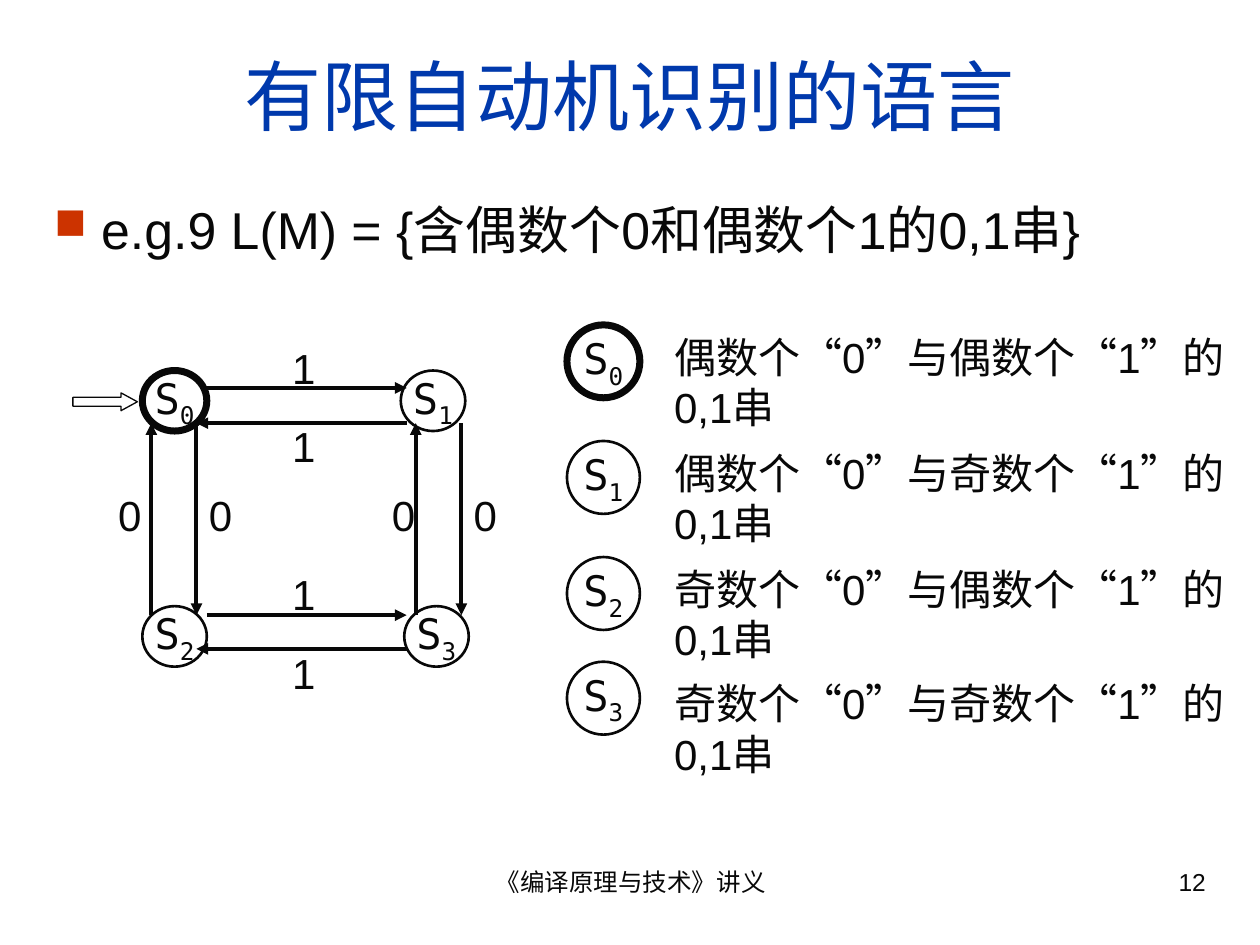
from lxml.etree import SubElement
from pptx import Presentation
from pptx.dml.color import RGBColor
from pptx.enum.shapes import MSO_CONNECTOR, MSO_SHAPE
from pptx.enum.text import MSO_ANCHOR, PP_ALIGN
from pptx.oxml.ns import qn
from pptx.util import Cm, Pt

COLORS = {"ink": "080808", "title": "0039AC", "bullet": "CC3300"}
FORMATS = {
    "title": {"size": Pt(44), "name": "Arial"},
    "body": {"size": Pt(29.6), "name": "Arial"},
    "label": {"size": Pt(24), "name": "Arial"},
    "state": {"size": Pt(24), "name": "DejaVu Sans Mono"},
    "footer": {"size": Pt(14), "name": "Arial"},
}

presentation = Presentation()
presentation.slide_width = Cm(25.4)
presentation.slide_height = Cm(19.05)
slide = presentation.slides.add_slide(presentation.slide_layouts[6])
shapes = slide.shapes


def write(frame, text, style, align=PP_ALIGN.LEFT, subscript=""):
    paragraph = frame.paragraphs[0]
    paragraph.alignment = align
    for part in filter(None, (text, subscript)):
        run = paragraph.add_run()
        run.text = part
        for attribute, value in FORMATS[style].items():
            setattr(run.font, attribute, value)
        ink = COLORS["title" if style == "title" else "ink"]
        run.font.color.rgb = RGBColor.from_string(ink)
    if subscript:
        run.font._element.set("baseline", "-25000")
    return paragraph


def outline(kind, box, weight):
    figure = shapes.add_shape(kind, *map(Cm, box))
    figure.shadow.inherit = False
    figure.fill.background()
    figure.line.color.rgb = RGBColor.from_string(COLORS["ink"])
    figure.line.width = Pt(weight)
    return figure


texts = [
    ("《编译原理与技术》讲义", (8.69, 17.35, 8.05, 1.32), "footer", PP_ALIGN.CENTER),
    ("12", (18.21, 17.35, 6.35, 1.32), "footer", PP_ALIGN.RIGHT),
    ("有限自动机识别的语言", (0.84, 0.64, 23.72, 2.54), "title", PP_ALIGN.CENTER),
    ("e.g.9 L(M) = {含偶数个0和偶数个1的0,1串}", (0.84, 3.86, 23.72, 1.85), "body", PP_ALIGN.LEFT),
]
texts += [("0", (left, 9.75, 1.28, 1.27), "label", PP_ALIGN.LEFT)
          for left in (2.13, 3.96, 7.65, 9.3)]
texts += [("1", (5.64, top, 1.28, 1.27), "label", PP_ALIGN.LEFT)
          for top in (6.78, 8.36, 11.33, 12.93)]

parities = [(zeros, ones) for zeros in "偶奇" for ones in "偶奇"]
for (zeros, ones), top in zip(parities, (6.55, 8.89, 11.23, 13.54)):
    meaning = f"{zeros}数个“0”与{ones}数个“1”的0,1串"
    texts.append((meaning, (13.34, top, 11.63, 2.29), "label", PP_ALIGN.LEFT))

diagram_places = [(2.87, 7.47), (8.08, 7.47), (2.87, 12.22), (8.15, 12.22)]
legend_tops = [6.55, 8.89, 11.23, 13.34]
states = [(index, (left, top, 1.3, 1.22)) for index, (left, top) in enumerate(diagram_places)]
states += [(index, (11.43, top, 1.47, 1.47)) for index, top in enumerate(legend_tops)]
for index, box in states:
    state = outline(MSO_SHAPE.OVAL, box, 4 if index == 0 else 1.5)
    state.text_frame.word_wrap = False
    state.text_frame.vertical_anchor = MSO_ANCHOR.MIDDLE
    write(state.text_frame, "S", "state", PP_ALIGN.CENTER, str(index))

start = outline(MSO_SHAPE.RIGHT_ARROW, (1.47, 7.92, 1.3, 0.36), 0.75)
start.adjustments[0] = 0.5
start.adjustments[1] = 0.915

transitions = []
for up, down in ((3.05, 3.96), (8.38, 9.3)):
    transitions += [(up, 12.4, up, 8.53), (down, 8.53, down, 12.4)]
for forward, back in ((7.82, 8.53), (12.4, 13.08)):
    transitions += [(4.17, forward, 8.2, forward), (8.2, back, 3.96, back)]
for ends in transitions:
    transition = shapes.add_connector(MSO_CONNECTOR.STRAIGHT, *map(Cm, ends))
    transition.line.color.rgb = RGBColor.from_string(COLORS["ink"])
    transition.line.width = Pt(2.25)
    SubElement(transition.line._get_or_add_ln(), qn("a:tailEnd"), type="triangle")
    SubElement(transition._element.spPr, qn("a:effectLst"))

for text, box, style, align in texts:
    frame = shapes.add_textbox(*map(Cm, box)).text_frame
    frame.word_wrap = True
    if style == "title":
        frame.vertical_anchor = MSO_ANCHOR.MIDDLE
    paragraph = write(frame, text, style, align)
    if style == "body":
        properties = paragraph._p.get_or_add_pPr()
        properties.set("marL", str(Cm(0.95)))
        properties.set("indent", str(Cm(-0.95)))
        bullet_color = SubElement(properties, qn("a:buClr"))
        SubElement(bullet_color, qn("a:srgbClr"), val=COLORS["bullet"])
        SubElement(properties, qn("a:buSzPct"), val="85000")
        SubElement(properties, qn("a:buChar"), char="■")

presentation.save("out.pptx")
